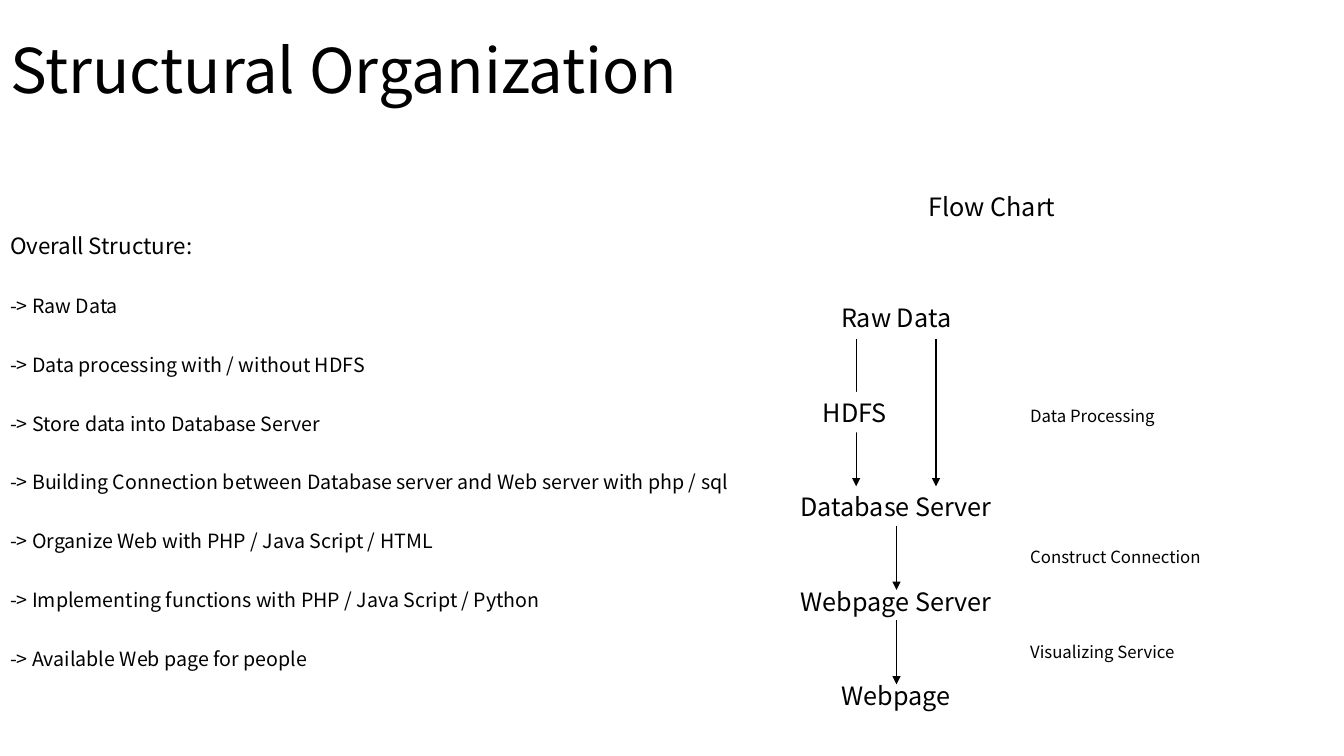
from pptx import Presentation
from pptx import util as u
from pptx.dml.color import RGBColor
from pptx.enum import shapes, text
from pptx.oxml.ns import qn
from lxml import etree

Pt = u.Pt
FACE = "Noto Sans CJK KR"
INK = {"text": "000000", "line": "000000", "mask": "FFFFFF"}
LEFT, MID = text.PP_ALIGN.LEFT, text.PP_ALIGN.CENTER

STEPS = [
    "Raw Data",
    "Data processing with / without HDFS",
    "Store data into Database Server",
    "Building Connection between Database server and Web server with php / sql",
    "Organize Web with PHP / Java Script / HTML",
    "Implementing functions with PHP / Java Script / Python",
    "Available Web page for people",
]
# Flow row of each node, and offset of each side note
NODES = {"Raw Data": 0, "Database Server": 2, "Webpage Server": 3, "Webpage": 4}
NOTES = {"Data Processing": 153, "Construct Connection": 253.5,
         "Visualizing Service": 321.3}


def hue(key):
    return RGBColor.from_string(INK[key])


def style(para, size, align=LEFT):
    para.alignment = align
    para.font.size = Pt(size)
    para.font.name = FACE
    para.font.color.rgb = hue("text")


def place(shape, x, y, w, h):
    shape.left, shape.top, shape.width, shape.height = map(Pt, (x, y, w, h))


def label(slide, words, box, size, align=LEFT):
    frame = slide.shapes.add_textbox(*map(Pt, box)).text_frame
    frame.word_wrap = True
    frame.auto_size = text.MSO_AUTO_SIZE.SHAPE_TO_FIT_TEXT
    frame.text = words
    style(frame.paragraphs[0], size, align)


def arrow(slide, x, top, end):
    link = slide.shapes.add_connector(
        shapes.MSO_CONNECTOR.STRAIGHT, Pt(x), Pt(top), Pt(x), Pt(end))
    link.line.color.rgb = hue("line")
    link.line.width = Pt(1)
    etree.SubElement(link.line._get_or_add_ln(), qn("a:tailEnd"), type="triangle")
    etree.SubElement(link._element.spPr, qn("a:effectLst"))


def head(slide, x, y, w, h):
    title = slide.shapes.title
    place(title, x, y, w, h)
    frame = title.text_frame
    frame.text = "Structural Organization"
    frame.vertical_anchor = text.MSO_ANCHOR.MIDDLE
    frame.auto_size = text.MSO_AUTO_SIZE.NONE
    para = frame.paragraphs[0]
    style(para, 44)
    para.line_spacing = 0.9


def outline(slide, x, y, w, h):
    body = slide.placeholders[1]
    place(body, x, y, w, h)
    frame = body.text_frame
    frame.auto_size = text.MSO_AUTO_SIZE.SHAPE_TO_FIT_TEXT
    frame.text = "\n".join(["Overall Structure:"] + ["-> " + s for s in STEPS])
    for i, para in enumerate(frame.paragraphs):
        style(para, 14 if i else 16)
        para.line_spacing = 2.5
        para.space_before = Pt(0)
        # No bullet, no hanging indent
        props = para._p.get_or_add_pPr()
        props.set("marL", "0")
        props.set("indent", "0")
        props.insert_element_before(
            etree.Element(qn("a:buNone")), "a:tabLst", "a:defRPr", "a:extLst")


def flow(slide, x, y, w, h):
    wide, tall, first = 231, 29, 79.2
    pitch = (h - first - tall) / 4
    axis = x + wide / 2
    rows = [y + first + i * pitch for i in range(5)]

    # Branches from raw data; the left one runs behind HDFS
    for side in (-1, 1):
        arrow(slide, axis + side * 28.5, rows[0] + 29.5, rows[2])

    # HDFS stop on the left branch
    stop = slide.shapes.add_shape(
        shapes.MSO_SHAPE.RECTANGLE, Pt(x + 56), Pt(rows[1]), Pt(69), Pt(tall))
    stop.shadow.inherit = False
    stop.fill.solid()
    stop.fill.fore_color.rgb = hue("mask")
    stop.line.fill.background()
    frame = stop.text_frame
    frame.text = "HDFS"
    frame.vertical_anchor = text.MSO_ANCHOR.TOP
    style(frame.paragraphs[0], 18)

    # Heading, nodes and side notes
    label(slide, "Flow Chart", (x + 68.4, y, wide, tall), 18, MID)
    for name, row in NODES.items():
        label(slide, name, (x, rows[row], wide, tall), 18, MID)
    for note, drop in NOTES.items():
        label(slide, note, (x + w - wide, y + drop, wide, 21.6), 12)

    # Links between the servers and the page
    for row in (2, 3):
        arrow(slide, axis + 0.3, rows[row] + 28, rows[row + 1] + 6.5)


deck = Presentation()
deck.slide_width, deck.slide_height = Pt(960), Pt(540)
page = deck.slides.add_slide(deck.slide_layouts[1])
head(page, 0, 0, 828, 104.4)
outline(page, 0, 133.2, 551.5, 344.9)
flow(page, 524.6, 133.2, 435.2, 378.2)
deck.save("out.pptx")
